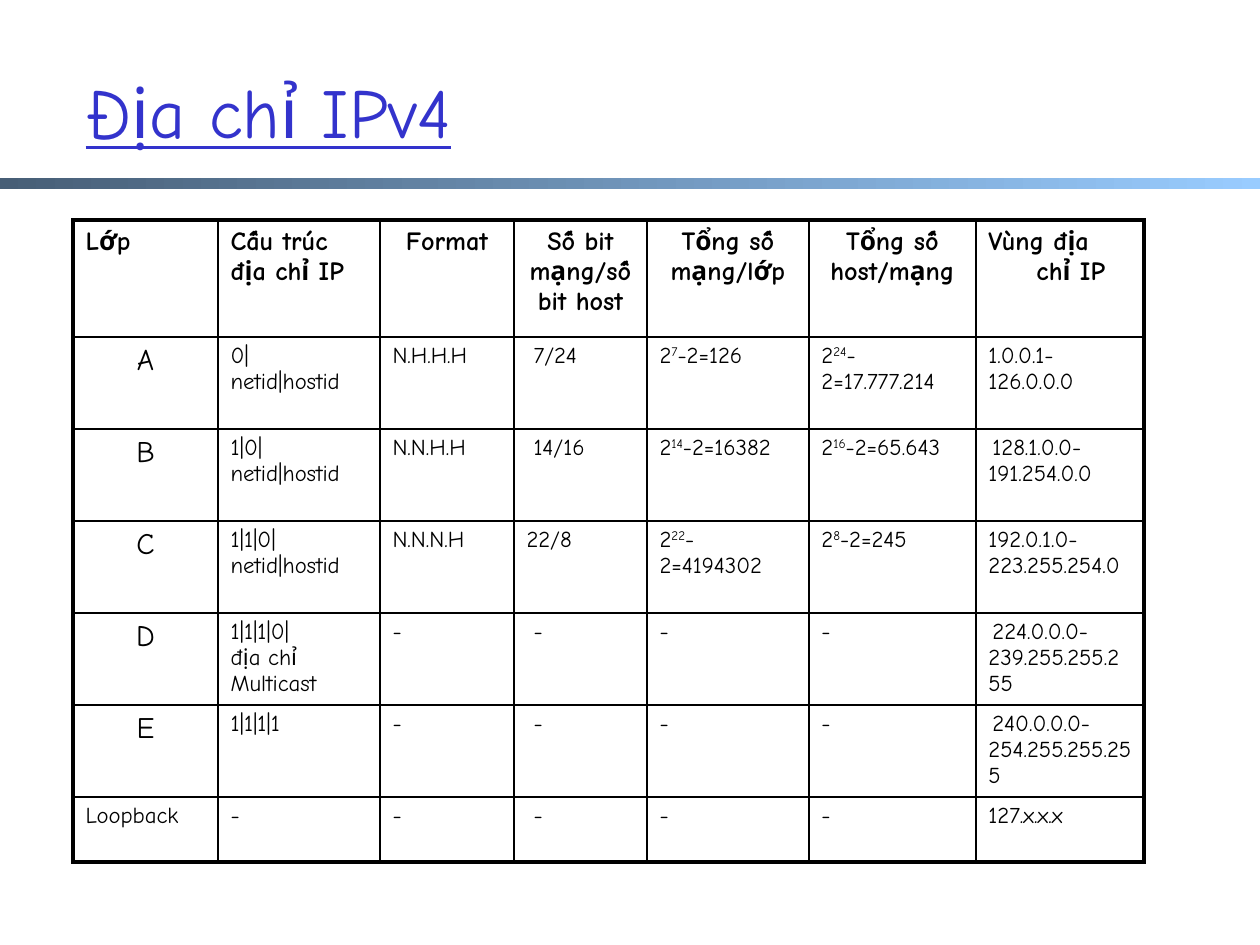
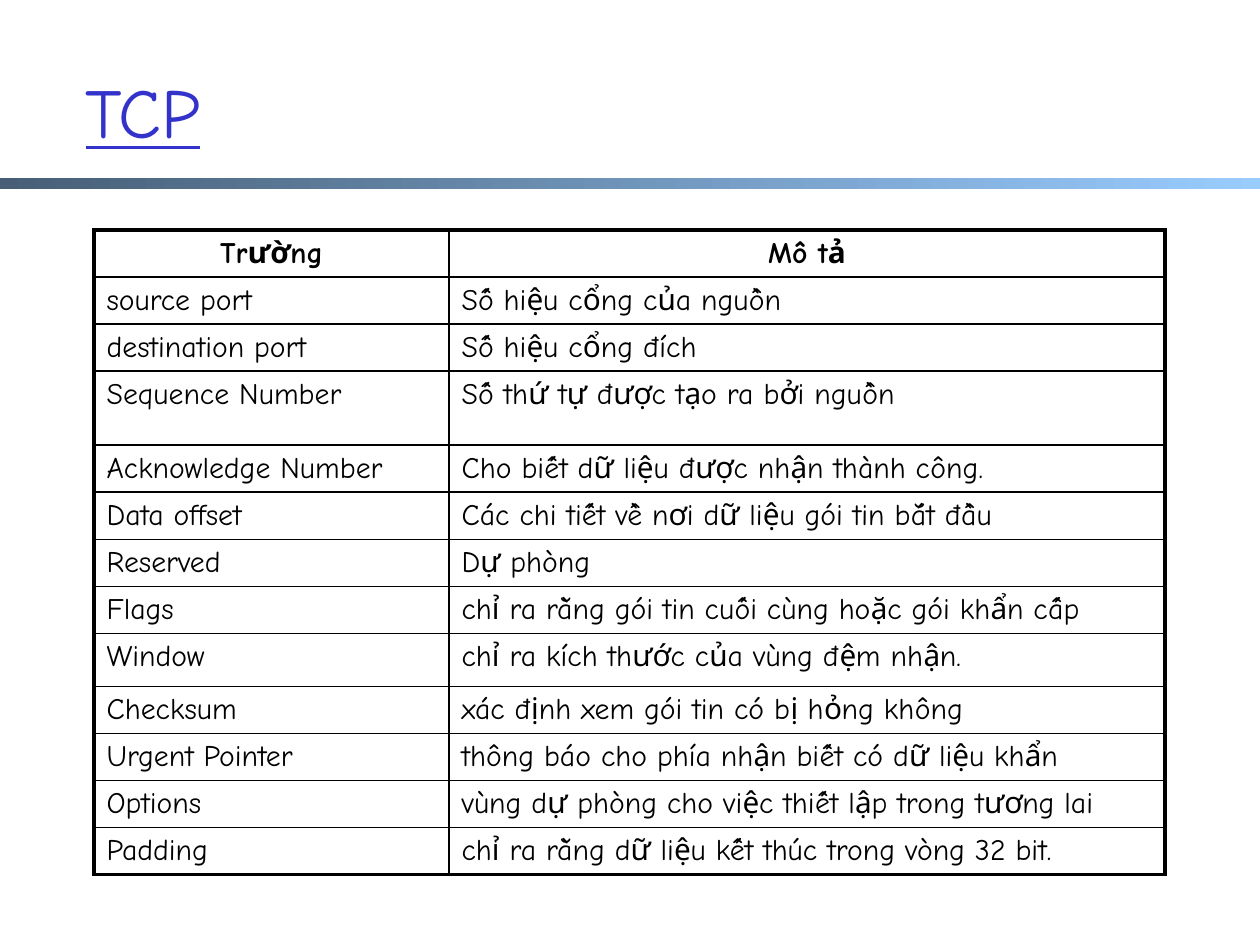
from collections import namedtuple
from dataclasses import dataclass

from lxml import etree
from pptx import Presentation
from pptx import util as u
from pptx.dml.color import RGBColor
from pptx.enum import shapes, text
from pptx.oxml import ns

SCALE = 914400 // 126
Box = namedtuple("Box", "left top width height")
Style = namedtuple("Style", "size bold align margin indent")
Align = text.PP_ALIGN


@dataclass(frozen=True)
class Theme:
    font: str = "Comic Neue"
    title: str = "3333CC"
    ink: str = "000000"
    band_start: str = "475E76"
    band_end: str = "99CCFF"
    title_size: int = 40
    large: int = 17
    header: int = 15
    small: int = 13
    outer_line: float = 2.25
    inner_line: float = 1


THEME = Theme()
HANG = 48
SLIDE = Box(0, 0, 1260, 945)
TITLE = Box(73, 32, 1071, 158)
BAND = Box(0, 178, 1260, 11)
ADDRESS_TABLE = Box(73, 220, 1071, 642)
FIELD_TABLE = Box(94, 230, 1071, 644)

ADDRESS_COLUMNS = [145, 162, 134, 133, 162, 167, 168]
ADDRESS_HEIGHTS = [117] + [92] * 5 + [65]
ADDRESS_ROWS = [
    ["Lớp", "Cấu trúc địa chỉ IP", "Format", "Số bit mạng/số\vbit host",
     "Tổng số mạng/lớp", "Tổng số host/mạng", "Vùng địa chỉ IP"],
    ["A", "0|\nnetid|hostid", "N.H.H.H", "7/24", "2^7^-2=126",
     "2^24^-2=17.777.214", "1.0.0.1-126.0.0.0"],
    ["B", "1|0|\nnetid|hostid", "N.N.H.H", "14/16", "2^14^-2=16382",
     "2^16^-2=65.643", "128.1.0.0-191.254.0.0"],
    ["C", "1|1|0|\nnetid|hostid", "N.N.N.H", "22/8", "2^22^-2=4194302",
     "2^8^-2=245", "192.0.1.0-223.255.254.0"],
    ["D", "1|1|1|0|\nđịa chỉ\nMulticast", "-", "-", "-", "-",
     "224.0.0.0-239.255.255.255"],
    ["E", "1|1|1|1", "-", "-", "-", "-", "240.0.0.0-254.255.255.255"],
    ["Loopback", "-", "-", "-", "-", "-", "127.x.x.x"],
]

FIELD_COLUMNS = [355, 716]
FIELD_HEIGHTS = [47] * 3 + [74] + [47] * 4 + [53] + [47] * 4
FIELD_ROWS = [
    ["Trường", "Mô tả"],
    ["source port", "Số hiệu cổng của nguồn"],
    ["destination port", "Số hiệu cổng đích"],
    ["Sequence Number", "Số thứ tự được tạo ra bởi nguồn"],
    ["Acknowledge Number", "Cho biết dữ liệu được nhận thành công."],
    ["Data offset", "Các chi tiết về nơi dữ liệu gói tin bắt đầu"],
    ["Reserved", "Dự phòng"],
    ["Flags", "chỉ ra rằng gói tin cuối cùng hoặc gói khẩn cấp"],
    ["Window", "chỉ ra kích thước của vùng đệm nhận."],
    ["Checksum", "xác định xem gói tin có bị hỏng không"],
    ["Urgent Pointer", "thông báo cho phía nhận biết có dữ liệu khẩn"],
    ["Options", "vùng dự phòng cho việc thiết lập trong tương lai"],
    ["Padding", "chỉ ra rằng dữ liệu kết thúc trong vòng 32 bit."],
]


def px(length):
    return u.Emu(length * SCALE)


def emu_box(box):
    return [px(length) for length in box]


def set_font(font, size, color, bold=False, underline=None):
    font.name = THEME.font
    font.size = u.Pt(size)
    font.bold = bold
    font.underline = underline
    font.color.rgb = RGBColor.from_string(color)


def move_band_to_layout(slide, box):
    band = slide.shapes.add_shape(shapes.MSO_SHAPE.RECTANGLE, *emu_box(box))
    band.shadow.inherit = False
    band.line.fill.background()
    band.fill.gradient()
    band.fill.gradient_angle = 0
    for stop, color in zip(band.fill.gradient_stops, (THEME.band_start, THEME.band_end)):
        stop.color.rgb = RGBColor.from_string(color)
    slide.slide_layout.element.cSld.spTree.insert(2, band.element)


def add_title(slide, box, wording):
    title = slide.shapes.title
    title.left, title.top, title.width, title.height = emu_box(box)
    title.text_frame.vertical_anchor = text.MSO_ANCHOR.MIDDLE
    title.text_frame.text = wording
    paragraph = title.text_frame.paragraphs[0]
    paragraph.alignment = Align.LEFT
    set_font(paragraph.font, THEME.title_size, THEME.title, underline=True)


def write_cell(cell, wording, style):
    cell.text_frame.text = wording.replace("^", "")
    for paragraph, line in zip(cell.text_frame.paragraphs, wording.split("\n")):
        if "^" in line:
            paragraph.clear()
            for index, part in enumerate(line.split("^")):
                run = paragraph.add_run()
                run.text = part
                if index == 1:
                    run.font._element.set("baseline", "30000")
        paragraph.alignment = style.align
        properties = paragraph._p.get_or_add_pPr()
        properties.set("marL", str(px(style.margin)))
        properties.set("indent", str(px(style.indent)))
        set_font(paragraph.font, style.size, THEME.ink, style.bold)


def set_borders(cell, outer_sides):
    properties = cell._tc.get_or_add_tcPr()
    for index, side in enumerate("LRTB"):
        width = THEME.outer_line if side in outer_sides else THEME.inner_line
        line = etree.Element(ns.qn(f"a:ln{side}"), w=str(u.Pt(width)))
        fill = etree.SubElement(line, ns.qn("a:solidFill"))
        etree.SubElement(fill, ns.qn("a:srgbClr"), val=THEME.ink)
        properties.insert(index, line)


def add_grid(slide, box, columns, heights, rows, style_for):
    frame = slide.shapes.add_table(len(rows), len(columns), *emu_box(box))
    table = frame.table
    table.first_row = table.horz_banding = False
    for column, width in zip(table.columns, columns):
        column.width = px(width)
    for row, height in zip(table.rows, heights):
        row.height = px(height)
    last_row, last_column = len(rows) - 1, len(columns) - 1
    for r, row in enumerate(rows):
        for c, wording in enumerate(row):
            cell = table.cell(r, c)
            cell.fill.background()
            edges = {"L": c == 0, "R": c == last_column, "T": r == 0, "B": r == last_row}
            set_borders(cell, [side for side, outer in edges.items() if outer])
            write_cell(cell, wording, style_for(r, c))


def address_style(row, column):
    if row == 0:
        align = Align.CENTER if 2 <= column <= 5 else Align.LEFT
        margin = HANG if column in (0, 6) else 0
        return Style(THEME.header, True, align, margin, -margin)
    if column == 0 and row < 6:
        return Style(THEME.large, False, Align.CENTER, HANG, -HANG)
    margin, indent = HANG, -HANG
    if column == 6 and row < 6:
        margin, indent = 0, 4 if row in (2, 4, 5) else 0
    elif (row, column) in ((1, 5), (3, 4)):
        margin, indent = 0, 0
    elif column == 3 and row != 3:
        indent += 7
    return Style(THEME.small, False, Align.LEFT, margin, indent)


def field_style(row, column):
    body_align = Align.JUSTIFY if column else Align.LEFT
    align = body_align if row else Align.CENTER
    return Style(THEME.large, row == 0, align, HANG, -HANG)


def add_table_slide(presentation, wording, *grid):
    slide = presentation.slides.add_slide(presentation.slide_layouts[5])
    add_title(slide, TITLE, wording)
    add_grid(slide, *grid)
    return slide


def main():
    presentation = Presentation()
    presentation.slide_width, presentation.slide_height = px(SLIDE.width), px(SLIDE.height)
    first = add_table_slide(presentation, "Địa chỉ IPv4", ADDRESS_TABLE, ADDRESS_COLUMNS,
                            ADDRESS_HEIGHTS, ADDRESS_ROWS, address_style)
    move_band_to_layout(first, BAND)
    add_table_slide(presentation, "TCP", FIELD_TABLE, FIELD_COLUMNS,
                    FIELD_HEIGHTS, FIELD_ROWS, field_style)
    presentation.save("out.pptx")


main()
